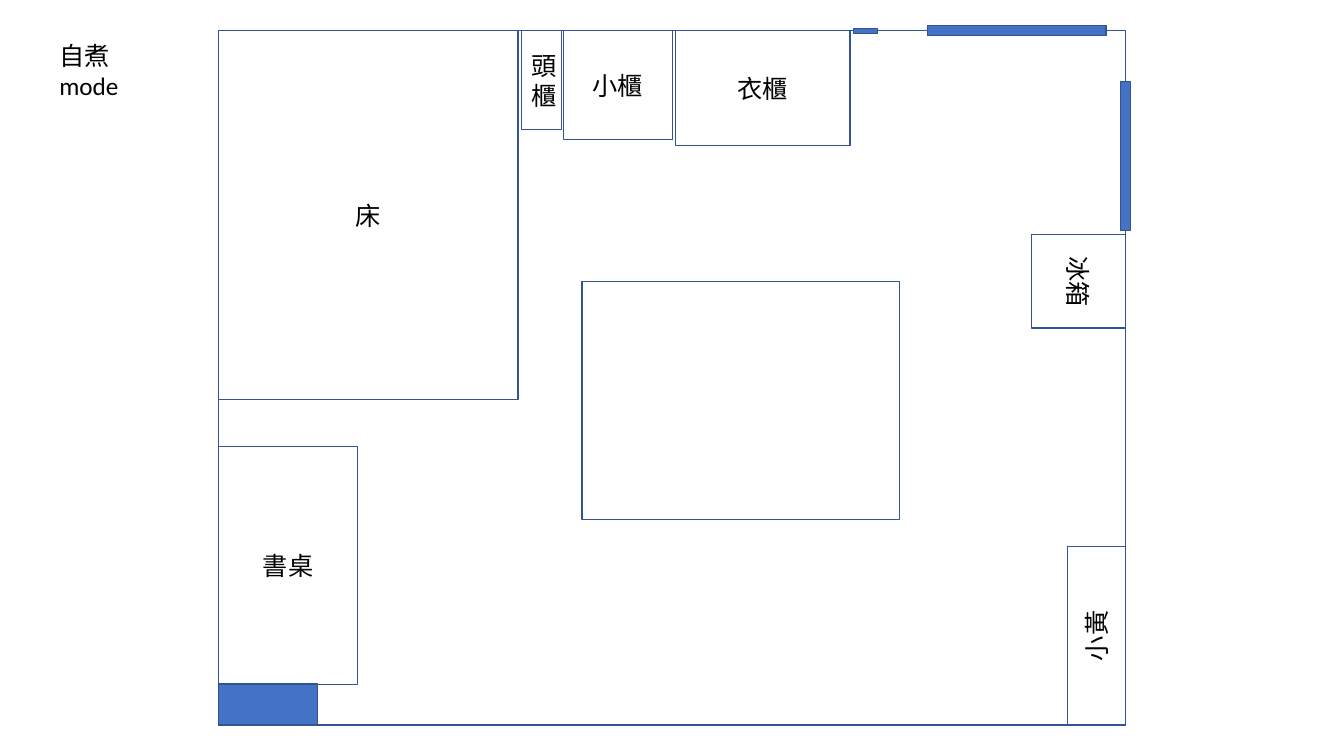
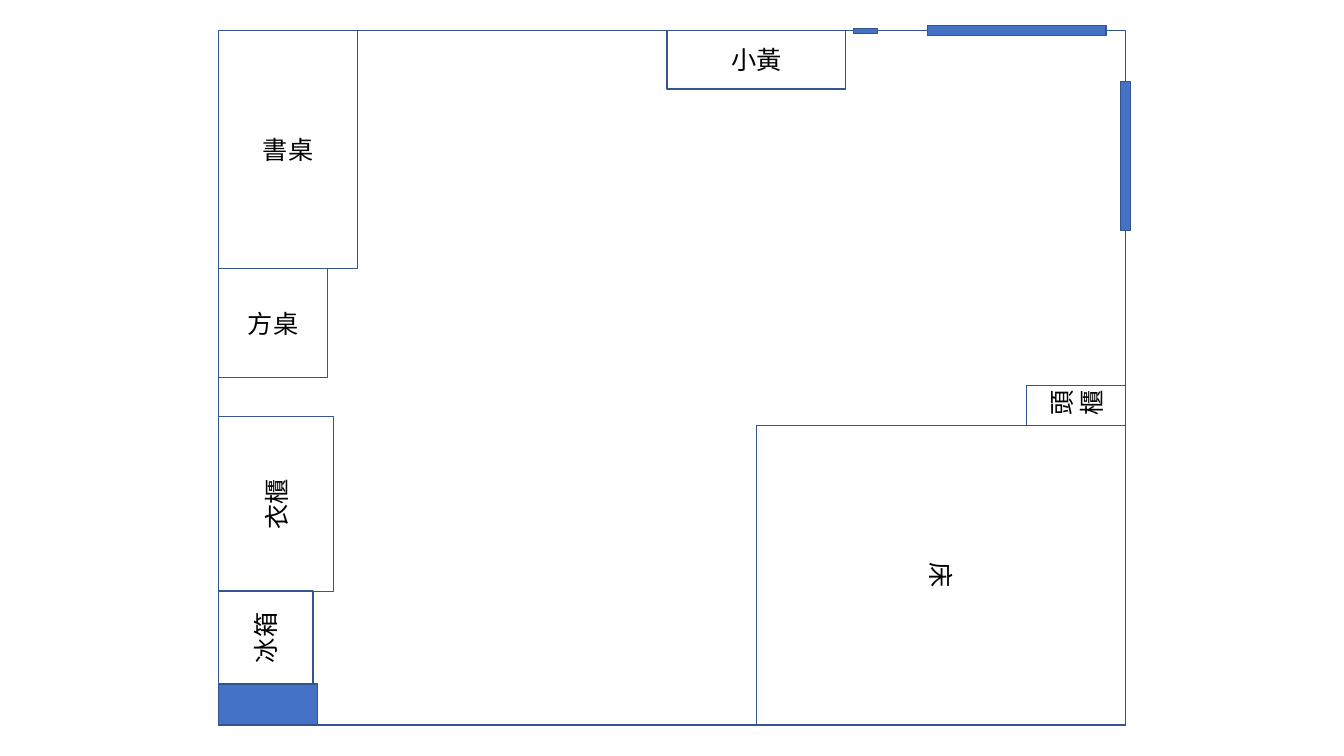
"""Draw two furniture plans of the same room."""
import dataclasses

import pptx
import pptx.dml.color
import pptx.enum.shapes
import pptx.enum.text
import pptx.util

Cm = pptx.util.Cm
Pt = pptx.util.Pt
Align = pptx.enum.text.PP_ALIGN
Anchor = pptx.enum.text.MSO_ANCHOR

BLUE = pptx.dml.color.RGBColor(0x44, 0x72, 0xC4)
EDGE = pptx.dml.color.RGBColor(0x32, 0x54, 0x91)
BLACK = pptx.dml.color.RGBColor(0, 0, 0)
FONT = "Calibri"

LEFT, TOP, WIDE, HIGH = 5.51, 0.77, 22.86, 17.5
RIGHT, BOTTOM = LEFT + WIDE, TOP + HIGH


@dataclasses.dataclass(frozen=True)
class Kind:
    """A type of furniture, with its size in centimetres before turning."""
    name: str
    wide: float
    high: float


@dataclasses.dataclass(frozen=True)
class Piece:
    """A kind placed by the top left corner it shows once turned."""
    kind: Kind
    left: float
    top: float
    turn: int = 0
    solid: bool = False


BED = Kind("床", 7.55, 9.3)
DESK = Kind("書桌", 3.5, 6)
CHEST = Kind("頭櫃", 1, 2.5)
STAND = Kind("小櫃", 2.75, 2.75)
SQUARE = Kind("方桌", 2.75, 2.75)
CLOSET = Kind("衣櫃", 4.4, 2.9)
FRIDGE = Kind("冰箱", 2.36, 2.38)
YELLOW = Kind("小黃", 4.5, 1.47)
TABLE = Kind("", 6, 8)

ROOM = [
    Piece(Kind("", WIDE, HIGH), LEFT, TOP),
    Piece(Kind("", 4.5, 0.25), 23.37, 0.65, solid=True),
    Piece(Kind("", 3.75, 0.25), RIGHT - 0.13, 2.06, 270, True),
    Piece(Kind("", 0.6, 0.13), 21.51, 0.72, solid=True),
    Piece(Kind("", 2.5, 1.03), LEFT, BOTTOM - 1.03, solid=True),
]

COOK = [
    Piece(YELLOW, RIGHT - YELLOW.high, BOTTOM - YELLOW.wide, 270),
    Piece(STAND, 14.2, TOP),
    Piece(CHEST, 13.15, TOP),
    Piece(BED, LEFT, TOP),
    Piece(DESK, LEFT, 11.25),
    Piece(FRIDGE, RIGHT - FRIDGE.high, 5.91, 90),
    Piece(CLOSET, 17.02, TOP),
    Piece(TABLE, 14.67, 7.1, 90),
]

PLAIN = [
    Piece(YELLOW, 16.81, TOP),
    Piece(SQUARE, LEFT, TOP + DESK.high),
    Piece(CHEST, RIGHT - CHEST.high, BOTTOM - BED.wide - CHEST.wide, 270),
    Piece(BED, RIGHT - BED.high, BOTTOM - BED.wide, 90),
    Piece(DESK, LEFT, TOP),
    Piece(FRIDGE, LEFT, 14.89, 270),
    Piece(CLOSET, LEFT, 10.5, 270),
]


def write(shape, text: str, *, size: float = 18, color=BLACK,
          align=Align.CENTER, anchor=Anchor.MIDDLE) -> None:
    """Put formatted text in a shape."""
    frame = shape.text_frame
    frame.word_wrap = True
    frame.vertical_anchor = anchor
    line = frame.paragraphs[0]
    line.alignment = align
    run = line.add_run()
    run.text = text
    run.font.size = Pt(size)
    run.font.name = FONT
    run.font.color.rgb = color


def draw(shapes, piece: Piece) -> None:
    """Draw a piece, turned about its centre."""
    kind = piece.kind
    shift = (kind.high - kind.wide) / 2 if piece.turn % 180 else 0
    box = shapes.add_shape(
        pptx.enum.shapes.MSO_SHAPE.RECTANGLE, Cm(piece.left + shift),
        Cm(piece.top - shift), Cm(kind.wide), Cm(kind.high))
    box.rotation = piece.turn
    box.shadow.inherit = False
    box.line.color.rgb = EDGE
    box.line.width = Pt(1)
    if piece.solid:
        box.fill.solid()
        box.fill.fore_color.rgb = BLUE
    else:
        box.fill.background()
    if kind.name:
        write(box, kind.name)


def plan(deck, pieces: list[Piece], title: str = "") -> None:
    """Add a slide with the room, its furniture and perhaps a title."""
    slide = deck.slides.add_slide(deck.slide_layouts[5 if title else 6])
    for piece in pieces:
        draw(slide.shapes, piece)
    room = slide.shapes.add_group_shape()
    for piece in ROOM:
        draw(room.shapes, piece)
    if title:
        head = slide.shapes.title
        head.left, head.top = Cm(1.24), Cm(0.89)
        head.width, head.height = Cm(2.1), Cm(1.8)
        head.text_frame.auto_size = pptx.enum.text.MSO_AUTO_SIZE.SHAPE_TO_FIT_TEXT
        write(head, title, align=Align.LEFT, anchor=Anchor.TOP)


def main() -> None:
    """Build and save the deck."""
    deck = pptx.Presentation()
    deck.slide_width, deck.slide_height = Cm(33.87), Cm(19.05)
    plan(deck, COOK, "自煮mode")
    plan(deck, PLAIN)
    deck.save("out.pptx")


main()
